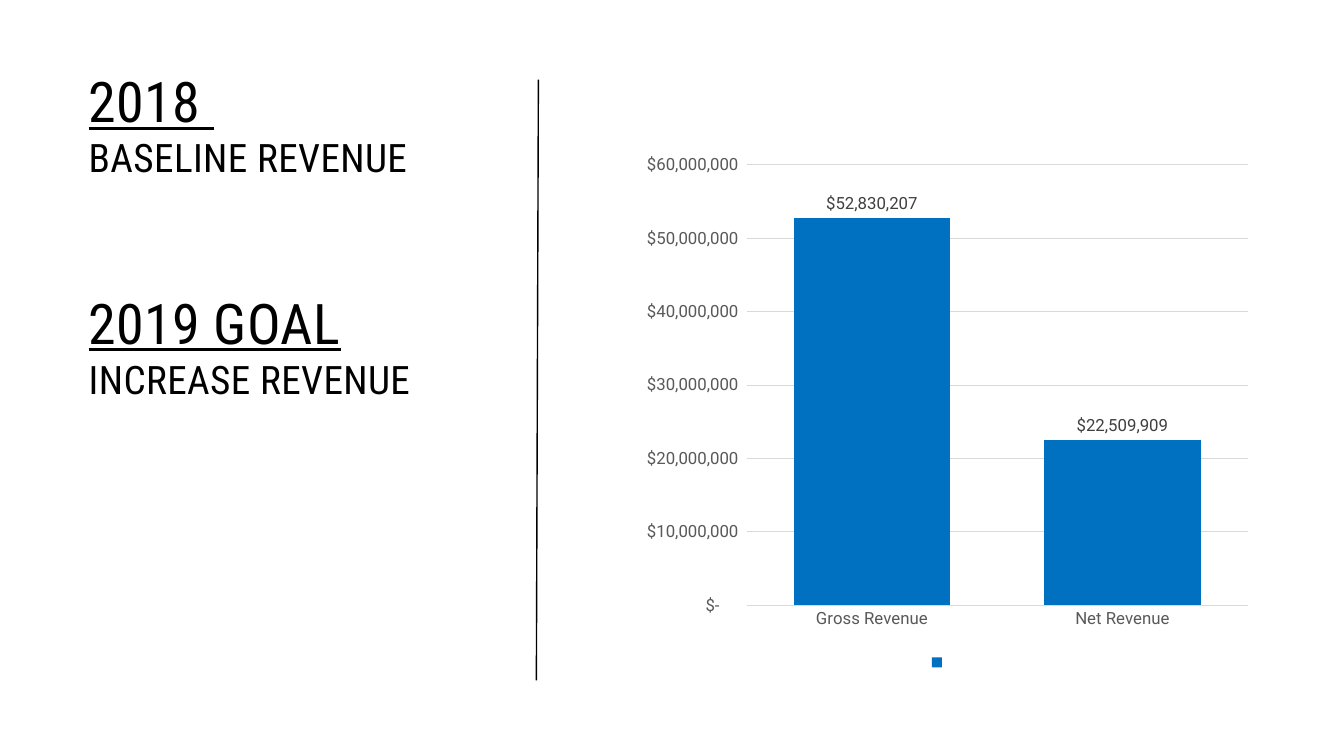
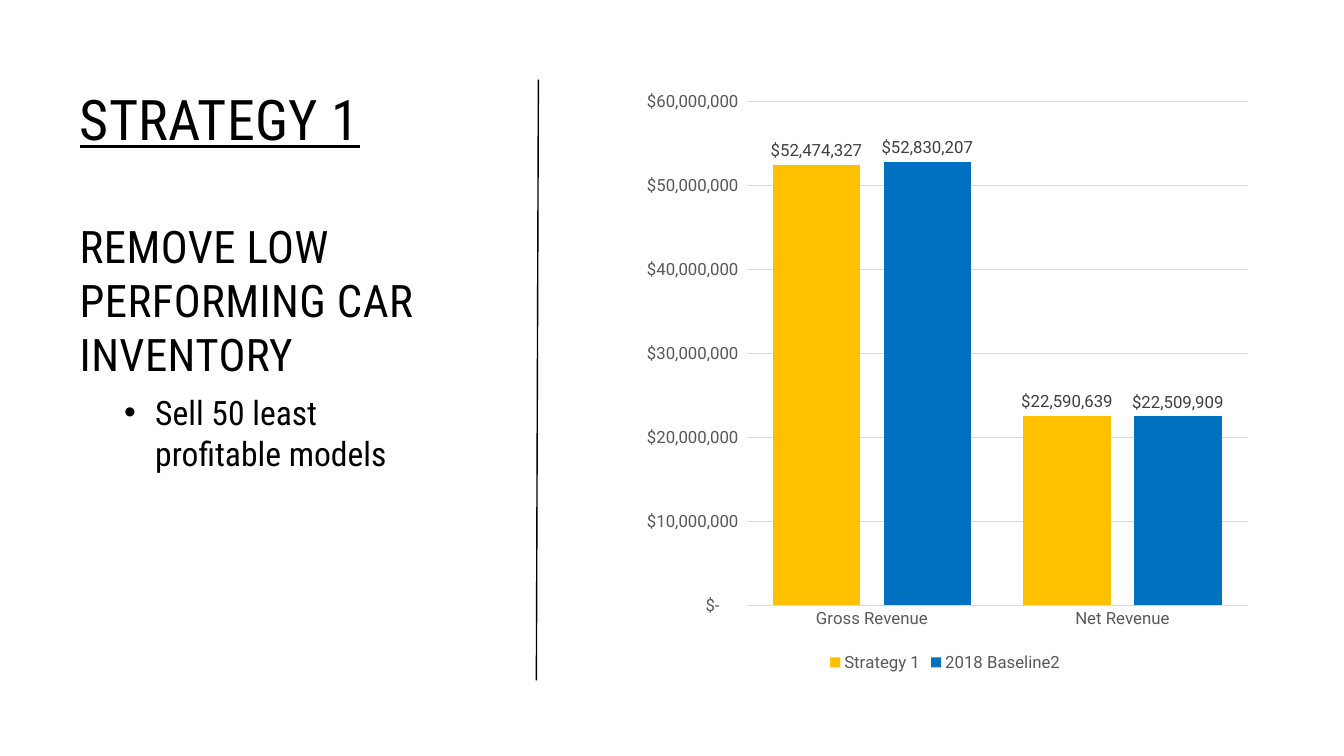
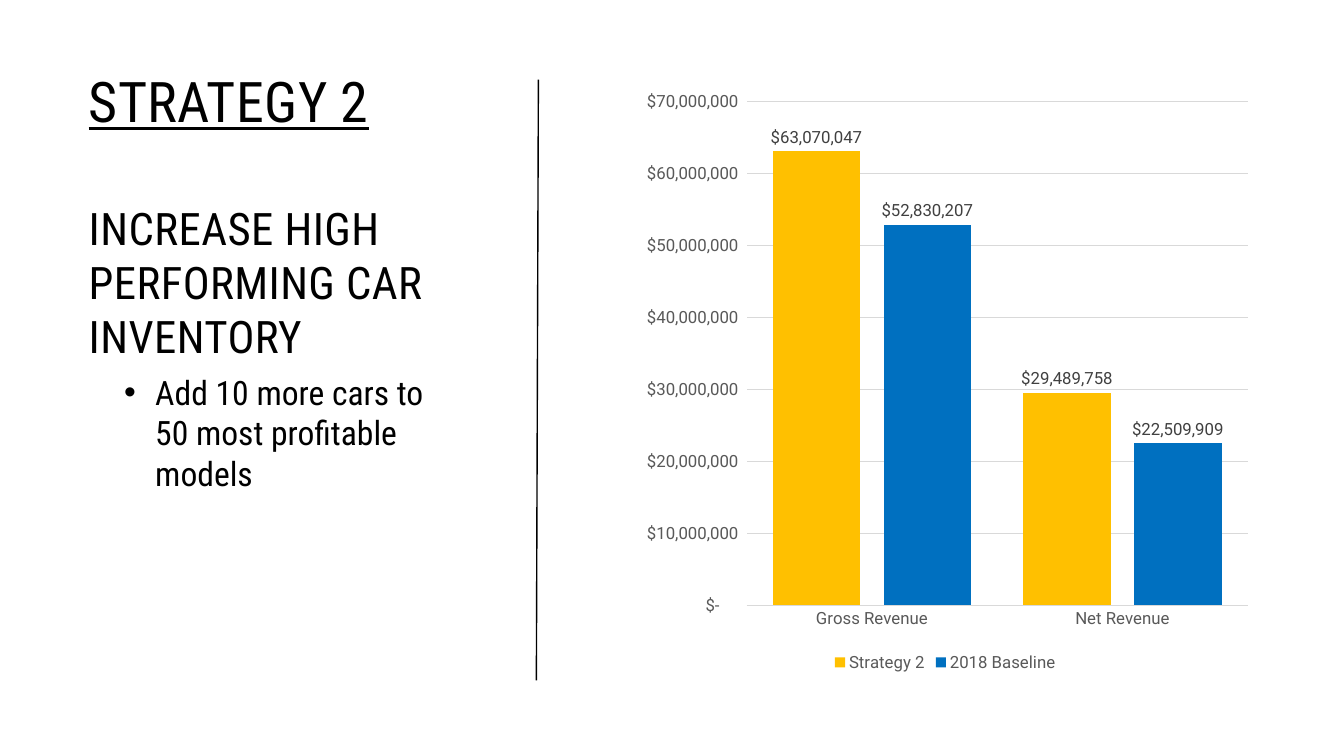
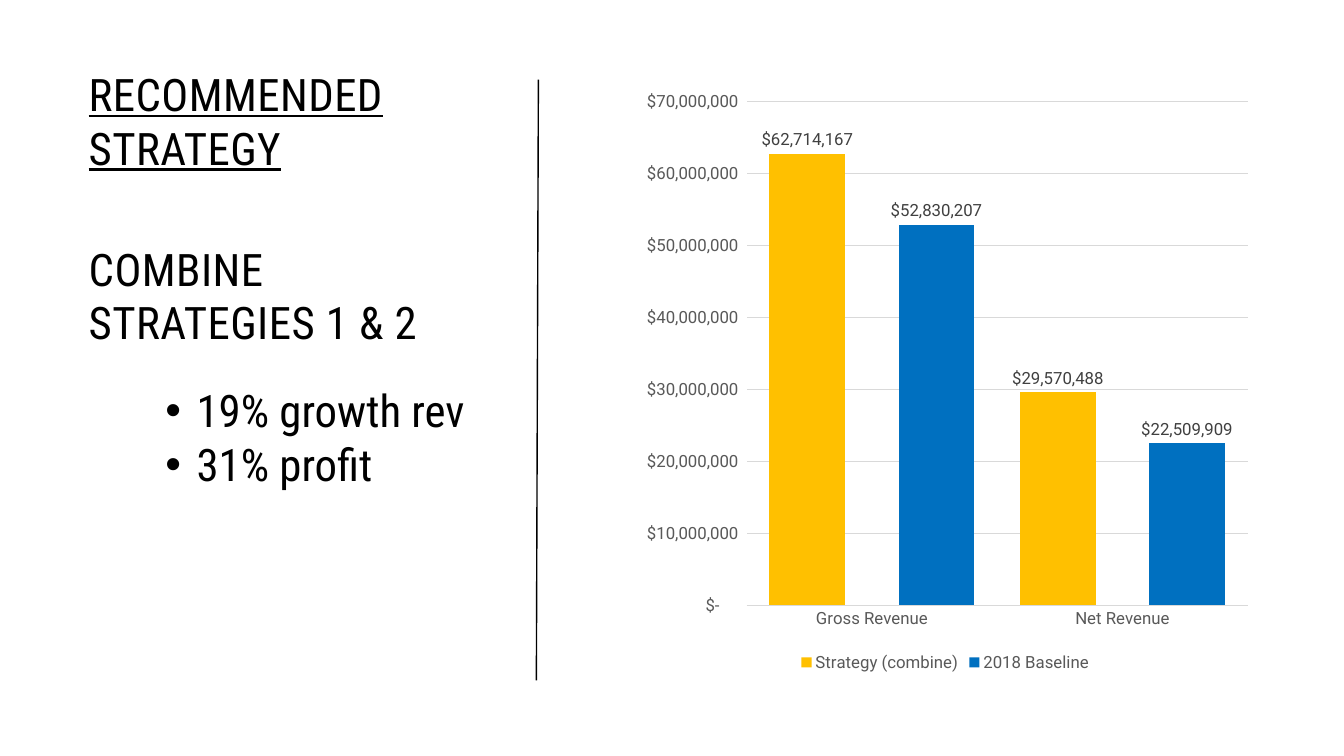
"""Build four revenue strategy slides, each with text on the left and a column chart on the right."""
from dataclasses import dataclass

from lxml import etree
from pptx import Presentation
from pptx import util as u
from pptx.chart.data import CategoryChartData
from pptx.dml.color import RGBColor
from pptx.enum import chart as charts, shapes, text
from pptx.oxml.ns import qn

EMU_PER_PX = 9144


@dataclass(frozen=True)
class Theme:
    ink: str = "000000"
    axis_text: str = "595959"
    label_text: str = "404040"
    grid: str = "D9D9D9"
    baseline: str = "0070C0"
    strategy: str = "FFC000"
    heading_font: str = "Roboto Condensed"
    chart_font: str = "Roboto"
    heading: int = 40
    statement: int = 32
    caption: int = 28
    bullet: int = 24
    chart_title: float = 18.6
    chart_text: int = 12
    tracking: int = 30


THEME = Theme()
SLIDE_SIZE = (1333, 750)
TITLE_BOX = (78, 61, 396, 499)
CHART_BOX = (625, 79, 625, 592)
DIVIDER = (532, 675, 534, 79)
BULLET_INDENT = 31
GAP_WIDTH = 60
CATEGORIES = ("Gross Revenue", "Net Revenue")
BASELINE_VALUES = (52830207, 22509909)
DOLLARS = r'_("$"* #,##0_);_("$"* \(#,##0\);_("$"* "-"??_);_(@_)'

SLIDES = [
    {
        "title": [("2018 \n", THEME.heading, True), ("BASELINE REVENUE\n", THEME.caption, False),
                  ("\n\n", THEME.statement, False),
                  ("2019 GOAL\n", THEME.heading, True), ("INCREASE REVENUE", THEME.caption, False)],
        "chart_title": "   ",
        "series": [("   ", BASELINE_VALUES, THEME.baseline)],
    },
    {
        "title": [("STRATEGY 1\n\n", THEME.heading, True),
                  ("REMOVE LOW PERFORMING CAR INVENTORY", THEME.statement, False)],
        "title_box": (69, 79, 463, 499),
        "bullets": ["Sell 50 least profitable models"],
        "bullet_box": (113, 384, 331, 91),
        "series": [("Strategy 1", (52474327, 22590639), THEME.strategy),
                   ("2018 Baseline2", BASELINE_VALUES, THEME.baseline)],
    },
    {
        "title": [("STRATEGY 2\n\n", THEME.heading, True),
                  ("INCREASE HIGH PERFORMING CAR INVENTORY", THEME.statement, False)],
        "bullets": ["Add 10 more cars to 50 most profitable models"],
        "bullet_box": (113, 364, 331, 131),
        "series": [("Strategy 2", (63070047, 29489758), THEME.strategy),
                   ("2018 Baseline", BASELINE_VALUES, THEME.baseline)],
    },
    {
        "title": [("RECOMMENDED STRATEGY\n", THEME.statement, True), ("\n", THEME.heading, True),
                  ("COMBINE STRATEGIES 1 & 2", THEME.statement, False)],
        "bullets": ["19% growth rev", "31% profit"],
        "bullet_size": THEME.statement,
        "bullet_box": (154, 375, 331, 118),
        "overlap": -70,
        "series": [("Strategy (combine)", (62714167, 29570488), THEME.strategy),
                   ("2018 Baseline", BASELINE_VALUES, THEME.baseline)],
    },
]


def px(*lengths):
    return [u.Emu(length * EMU_PER_PX) for length in lengths]


def rgb(color):
    return RGBColor.from_string(color)


def style_font(font, size, color, name):
    font.size, font.name, font.bold = u.Pt(size), name, False
    font.color.rgb = rgb(color)


def add_text(paragraph, content, *, size, underline=False, tracking=0):
    for index, line in enumerate(content.split("\n")):
        if index:
            paragraph.add_line_break()
            line_break = paragraph._p.findall(qn("a:br"))[-1]
            properties = etree.SubElement(line_break, qn("a:rPr"), sz=str(size * 100))
            etree.SubElement(properties, qn("a:latin"), typeface=THEME.heading_font)
        if line:
            run = paragraph.add_run()
            run.text = line
            style_font(run.font, size, THEME.ink, THEME.heading_font)
            run.font.underline = underline
            run.font._element.set("spc", str(tracking))


def place_text_frame(placeholder, box):
    placeholder.left, placeholder.top, placeholder.width, placeholder.height = px(*box)
    frame = placeholder.text_frame
    frame.word_wrap = True
    frame.auto_size = text.MSO_AUTO_SIZE.NONE
    frame.vertical_anchor = text.MSO_ANCHOR.TOP
    return frame


def add_title(slide, parts, box):
    paragraph = place_text_frame(slide.shapes.title, box).paragraphs[0]
    paragraph.alignment = text.PP_ALIGN.LEFT
    for content, size, underline in parts:
        add_text(paragraph, content, size=size, underline=underline, tracking=THEME.tracking)


def add_bullets(slide, bullets, box, size):
    frame = place_text_frame(slide.placeholders[1], box)
    indent = px(BULLET_INDENT)[0]
    for index, bullet in enumerate(bullets):
        paragraph = frame.add_paragraph() if index else frame.paragraphs[0]
        paragraph.space_before = u.Pt(0)
        properties = paragraph._p.get_or_add_pPr()
        properties.set("marL", str(indent))
        properties.set("indent", str(-indent))
        etree.SubElement(properties, qn("a:buFont"), typeface="Arial")
        etree.SubElement(properties, qn("a:buChar"), char="•")
        add_text(paragraph, bullet, size=size)


def add_divider(slide):
    divider = slide.shapes.add_connector(shapes.MSO_CONNECTOR.STRAIGHT, *px(*DIVIDER))
    divider.line.color.rgb = rgb(THEME.ink)
    divider.line.width = u.Pt(1)
    etree.SubElement(divider._element.spPr, qn("a:effectLst"))


def style_axis(axis):
    axis.major_tick_mark = axis.minor_tick_mark = charts.XL_TICK_MARK.NONE
    style_font(axis.tick_labels.font, THEME.chart_text, THEME.axis_text, THEME.chart_font)


def style_line(line):
    line.color.rgb = rgb(THEME.grid)
    line.width = u.Pt(0.75)


def add_revenue_chart(slide, series_list, overlap, title):
    data = CategoryChartData(number_format=DOLLARS)
    data.categories = CATEGORIES
    for name, values, _ in series_list:
        data.add_series(name, values)
    kind = charts.XL_CHART_TYPE.COLUMN_CLUSTERED
    chart = slide.shapes.add_chart(kind, *px(*CHART_BOX), data).chart
    style_font(chart.font, 10, THEME.ink, THEME.chart_font)

    chart.has_title = bool(title)
    if title:
        run = chart.chart_title.text_frame.paragraphs[0].add_run()
        run.text = title
        style_font(run.font, THEME.chart_title, THEME.axis_text, THEME.chart_font)
    chart.has_legend = True
    chart.legend.position = charts.XL_LEGEND_POSITION.BOTTOM
    chart.legend.include_in_layout = False
    style_font(chart.legend.font, THEME.chart_text, THEME.axis_text, THEME.chart_font)

    for axis in (chart.category_axis, chart.value_axis):
        style_axis(axis)
    style_line(chart.category_axis.format.line)
    style_line(chart.value_axis.major_gridlines.format.line)
    chart.value_axis.format.line.fill.background()
    chart.value_axis.tick_labels.number_format = DOLLARS
    chart.value_axis.tick_labels.number_format_is_linked = False

    plot = chart.plots[0]
    plot.gap_width, plot.overlap, plot.vary_by_categories = GAP_WIDTH, overlap, False
    for series, (_, _, color) in zip(plot.series, series_list):
        series.format.fill.solid()
        series.format.fill.fore_color.rgb = rgb(color)
        series.invert_if_negative = False
        labels = series.data_labels
        labels.show_value = True
        labels.position = charts.XL_LABEL_POSITION.OUTSIDE_END
        labels.number_format, labels.number_format_is_linked = DOLLARS, False
        style_font(labels.font, THEME.chart_text, THEME.label_text, THEME.chart_font)


def main():
    presentation = Presentation()
    presentation.slide_width, presentation.slide_height = px(*SLIDE_SIZE)
    layouts = presentation.slide_layouts
    for content in SLIDES:
        bullets = content.get("bullets")
        layout = layouts.get_by_name("Title and Content" if bullets else "Title Only")
        slide = presentation.slides.add_slide(layout)
        add_title(slide, content["title"], content.get("title_box", TITLE_BOX))
        add_divider(slide)
        add_revenue_chart(slide, content["series"], content.get("overlap", -27), content.get("chart_title"))
        if bullets:
            add_bullets(slide, bullets, content["bullet_box"], content.get("bullet_size", THEME.bullet))
    presentation.save("out.pptx")


if __name__ == "__main__":
    main()
